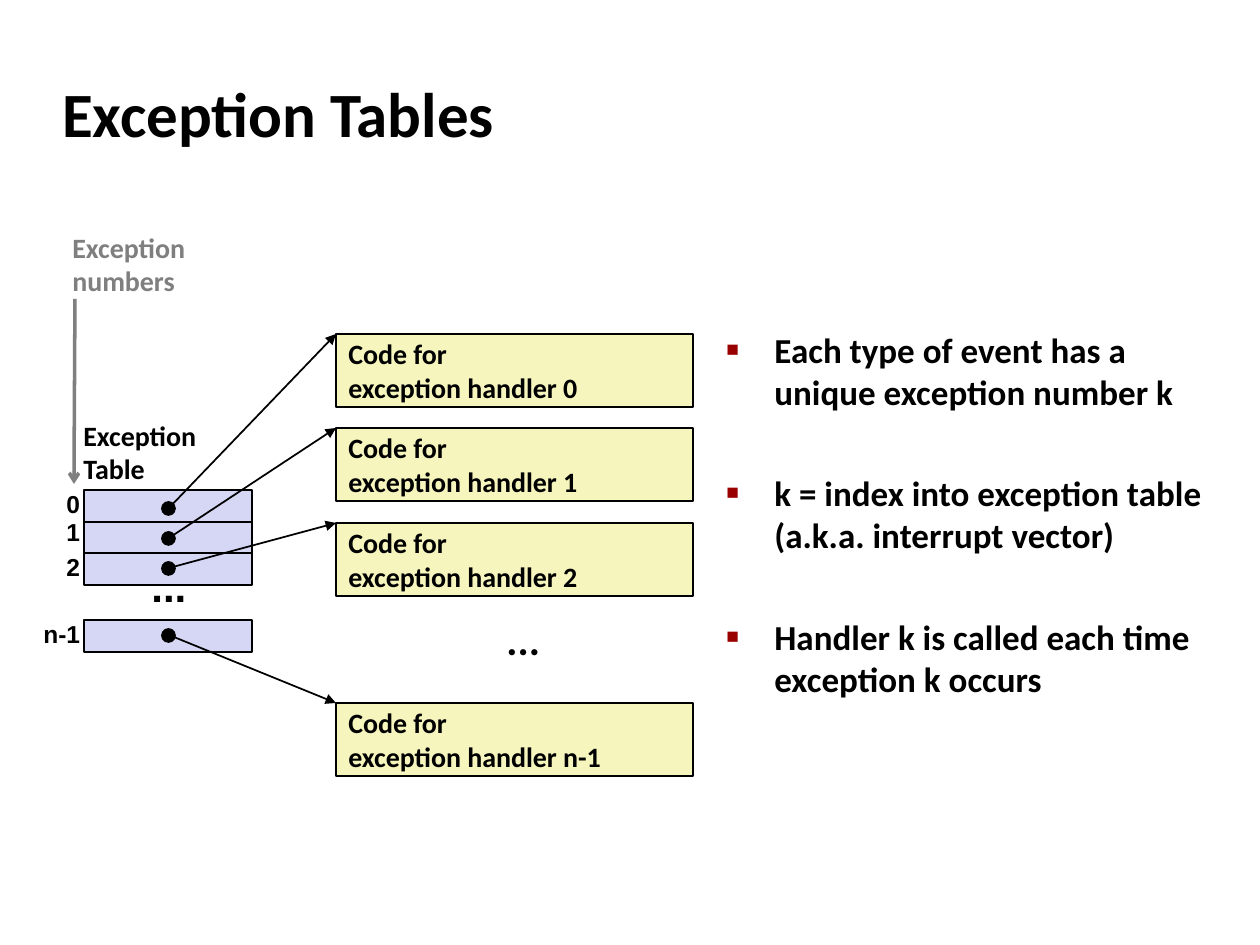
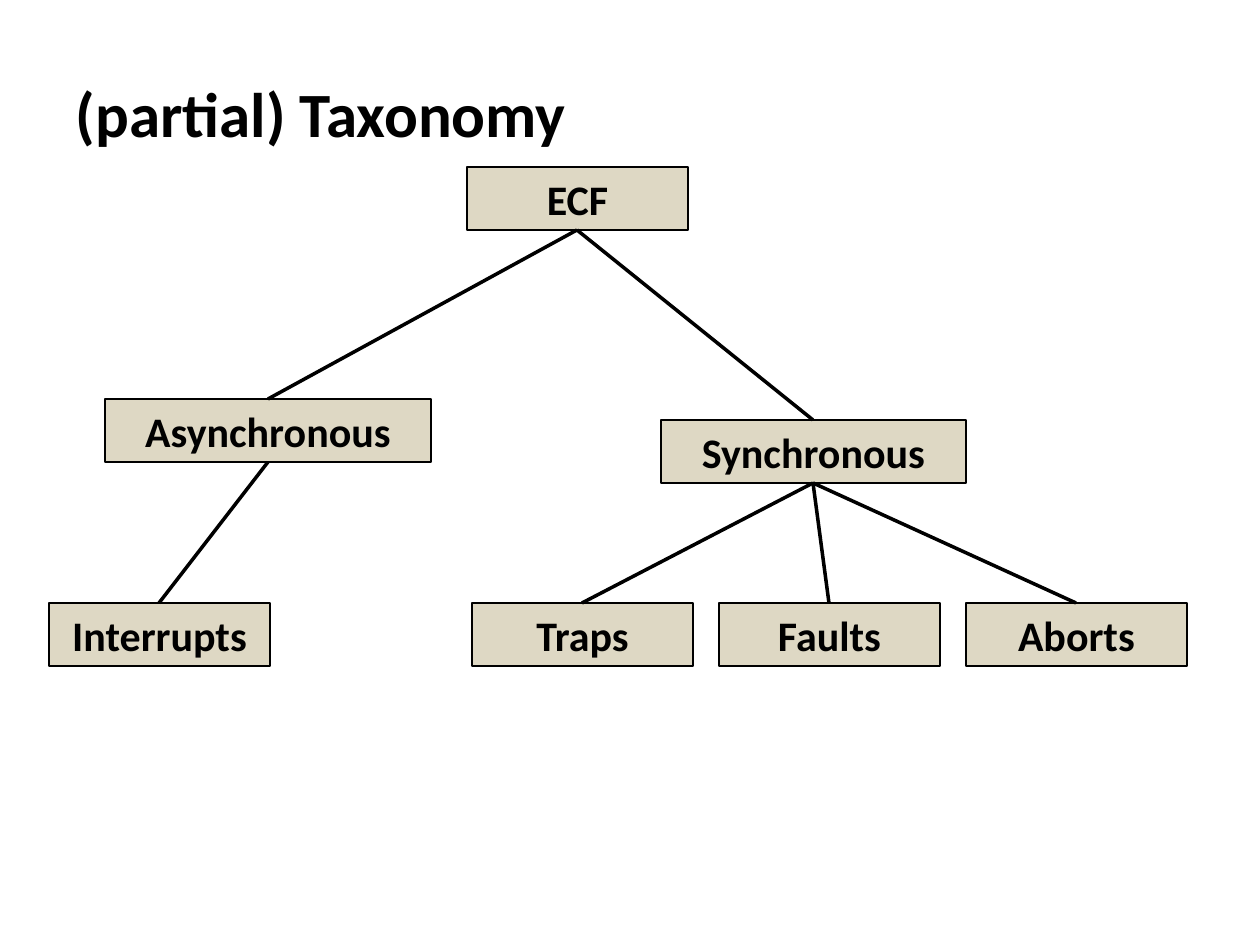
"""Build two slides: exception tables and a partial taxonomy of control flow."""
from lxml import etree
from pptx import Presentation
from pptx import util as u
from pptx.dml.color import RGBColor
from pptx.enum import shapes, text
from pptx.oxml.ns import qn

PX = 914400 / 126
BLACK = RGBColor(0x00, 0x00, 0x00)
GREY = RGBColor(0x7F, 0x7F, 0x7F)
RED = RGBColor(0x99, 0x00, 0x00)
LAVENDER = RGBColor(0xD6, 0xD6, 0xF5)
YELLOW = RGBColor(0xF6, 0xF5, 0xBD)
SAND = RGBColor(0xDE, 0xD8, 0xC4)
RECT = shapes.MSO_SHAPE.RECTANGLE
OVAL = shapes.MSO_SHAPE.OVAL
LEFT, CENTER = text.PP_ALIGN.LEFT, text.PP_ALIGN.CENTER
TOP, MIDDLE = text.MSO_ANCHOR.TOP, text.MSO_ANCHOR.MIDDLE


def add_box(page, area, lines=(), size=16, fill=None, border=1, kind=RECT,
            font="Calibri", color=BLACK, align=LEFT, anchor=MIDDLE):
    place = [u.Emu(round(value * PX)) for value in area]
    if fill is None:
        box = page.shapes.add_textbox(*place)
    else:
        box = page.shapes.add_shape(kind, *place)
        box.shadow.inherit = False
        box.fill.solid()
        box.fill.fore_color.rgb = fill
        box.line.color.rgb = BLACK
        box.line.width = u.Pt(border)
    frame = box.text_frame
    frame.word_wrap = fill is not None
    frame.vertical_anchor = anchor
    for index, line in enumerate(lines):
        para = frame.add_paragraph() if index else frame.paragraphs[0]
        para.alignment = align
        span = para.add_run()
        span.text = line
        span.font.name, span.font.size, span.font.bold = font, u.Pt(size), True
        span.font.color.rgb = color


def add_line(page, start, end, color=BLACK, width=1, head=None):
    ends = [u.Emu(round(value * PX)) for value in (*start, *end)]
    line = page.shapes.add_connector(shapes.MSO_CONNECTOR.STRAIGHT, *ends)
    line.line.color.rgb = color
    line.line.width = u.Pt(width)
    props = line._element.spPr
    if head:
        etree.SubElement(props.find(qn("a:ln")), qn("a:tailEnd"), type=head)
    etree.SubElement(props, qn("a:effectLst"))


deck = Presentation()
deck.slide_width, deck.slide_height = u.Inches(10), u.Inches(7.5)

pages = []
for heading, inset in (("Exception Tables", 13), ("(partial) Taxonomy", 27)):
    page = deck.slides.add_slide(deck.slide_layouts[5])
    title = page.shapes.title
    title.left, title.top, title.width, title.height = (
        u.Emu(round(value * PX)) for value in (49, 60, 1046, 105))
    frame = title.text_frame
    frame.auto_size = text.MSO_AUTO_SIZE.NONE
    frame.vertical_anchor = MIDDLE
    frame.margin_left = u.Emu(round(inset * PX))
    para = frame.paragraphs[0]
    para.alignment = LEFT
    span = para.add_run()
    span.text = heading
    span.font.name, span.font.size, span.font.bold = "Calibri", u.Pt(36), True
    span.font.color.rgb = BLACK
    pages.append(page)
table_page, tree_page = pages

entries = [
    ("0", 490, 482, 39, 508, 334),
    ("1", 522, 510, 39, 538, 428),
    ("2", 553, 545, 39, 568, 523),
    ("n-1", 620, 612, 62, 635, 703),
]
for number, row_top, label_top, label_width, dot_y, handler_top in entries:
    add_box(table_page, (84, row_top, 168, 32), fill=LAVENDER)
    add_box(table_page, (93 - label_width, label_top, label_width, 43), [number],
            size=14, font="Arial")
    add_box(table_page, (336, handler_top, 357, 73),
            ["Code for", f"exception handler {number}"], fill=YELLOW, border=0.75)
for number, row_top, label_top, label_width, dot_y, handler_top in entries:
    add_box(table_page, (162, dot_y - 6, 13, 13), fill=BLACK, kind=OVAL)
    add_line(table_page, (169, dot_y), (336, handler_top), head="triangle")

add_box(table_page, (139, 554, 80, 63), ["..."], size=24, font="Arial")
add_box(table_page, (494, 607, 80, 63), ["..."], size=24)
add_box(table_page, (71, 412, 150, 79), ["Exception", "Table"], anchor=TOP)
add_box(table_page, (60, 224, 150, 81), ["Exception", "numbers"], color=GREY, anchor=TOP)
add_line(table_page, (75, 299), (74, 484), GREY, 2, "arrow")

points = [
    ("Each type of event has a", "unique exception number k"),
    ("k = index into exception table", "(a.k.a. interrupt vector)"),
    ("Handler k is called each time", "exception k occurs"),
]
body = table_page.shapes.add_textbox(
    *(u.Emu(round(value * PX)) for value in (714, 322, 525, 444)))
body.text_frame.word_wrap = True
for index, point in enumerate(points):
    para = body.text_frame.add_paragraph() if index else body.text_frame.paragraphs[0]
    para.space_before = u.Pt(34 if index else 5)
    for row, line in enumerate(point):
        if row:
            para.add_line_break()
        span = para.add_run()
        span.text = line
        span.font.name, span.font.size, span.font.bold = "Calibri", u.Pt(20), True
        span.font.color.rgb = BLACK
    props = para._p.get_or_add_pPr()
    indent = round(48 * PX)
    props.set("marL", str(indent))
    props.set("indent", str(-indent))
    tint = etree.SubElement(props, qn("a:buClr"))
    etree.SubElement(tint, qn("a:srgbClr"), val=str(RED))
    etree.SubElement(props, qn("a:buSzPct"), val="60000")
    etree.SubElement(props, qn("a:buFont"), typeface="Arial")
    etree.SubElement(props, qn("a:buChar"), char="■")

NODE_HEIGHT = 63
nodes = {
    "ECF": (467, 167, 221, None),
    "Asynchronous": (105, 399, 326, "ECF"),
    "Synchronous": (661, 420, 305, "ECF"),
    "Interrupts": (49, 603, 221, "Asynchronous"),
    "Traps": (472, 603, 221, "Synchronous"),
    "Faults": (719, 603, 221, "Synchronous"),
    "Aborts": (966, 603, 221, "Synchronous"),
}
for name, (left, top, width, parent) in nodes.items():
    add_box(tree_page, (left, top, width, NODE_HEIGHT), [name], size=24, fill=SAND,
            border=0.75, align=CENTER, anchor=TOP)
    if parent:
        parent_left, parent_top, parent_width, _ = nodes[parent]
        add_line(tree_page, (parent_left + parent_width // 2, parent_top + NODE_HEIGHT),
                 (left + width // 2, top), width=2)

deck.save("out.pptx")
